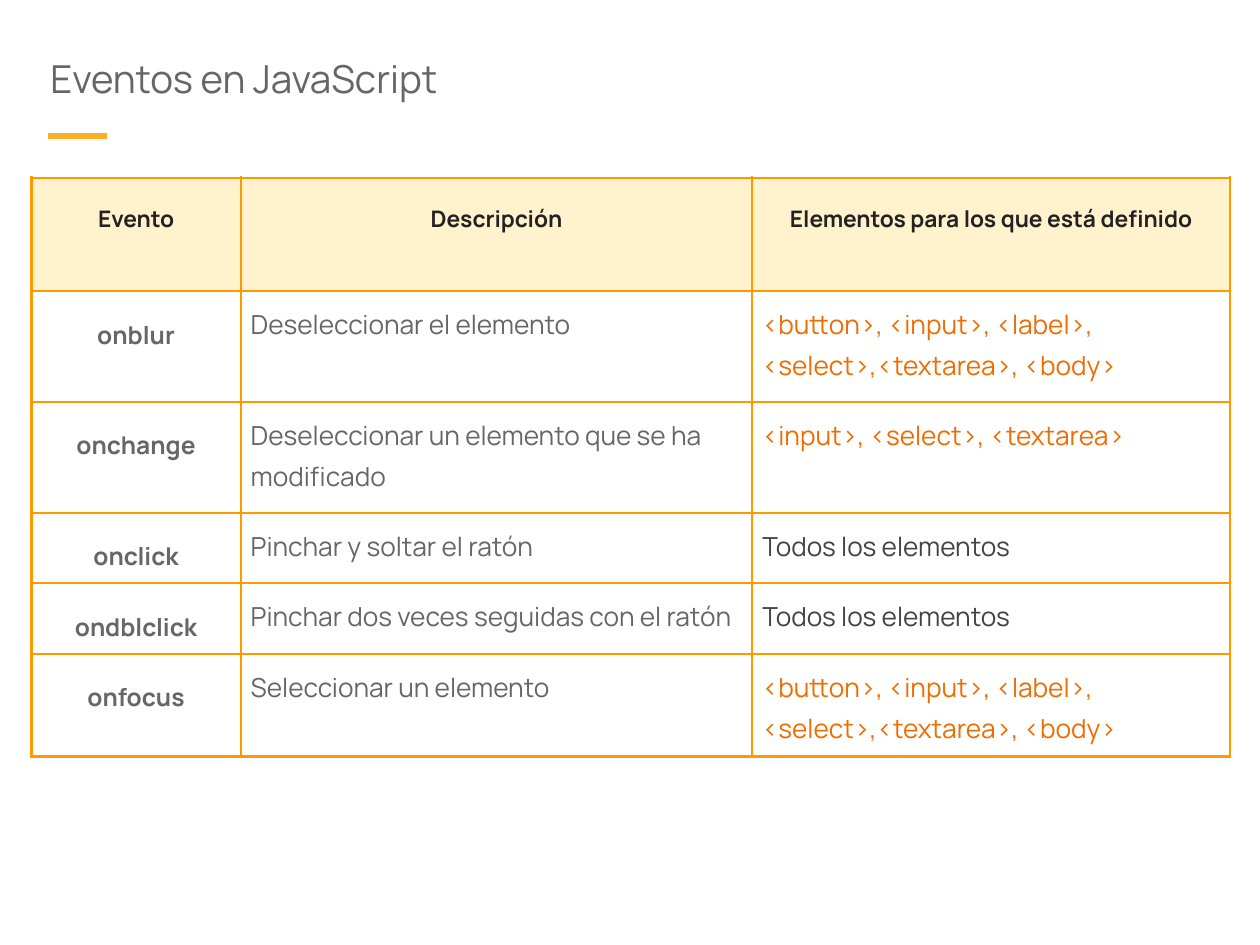
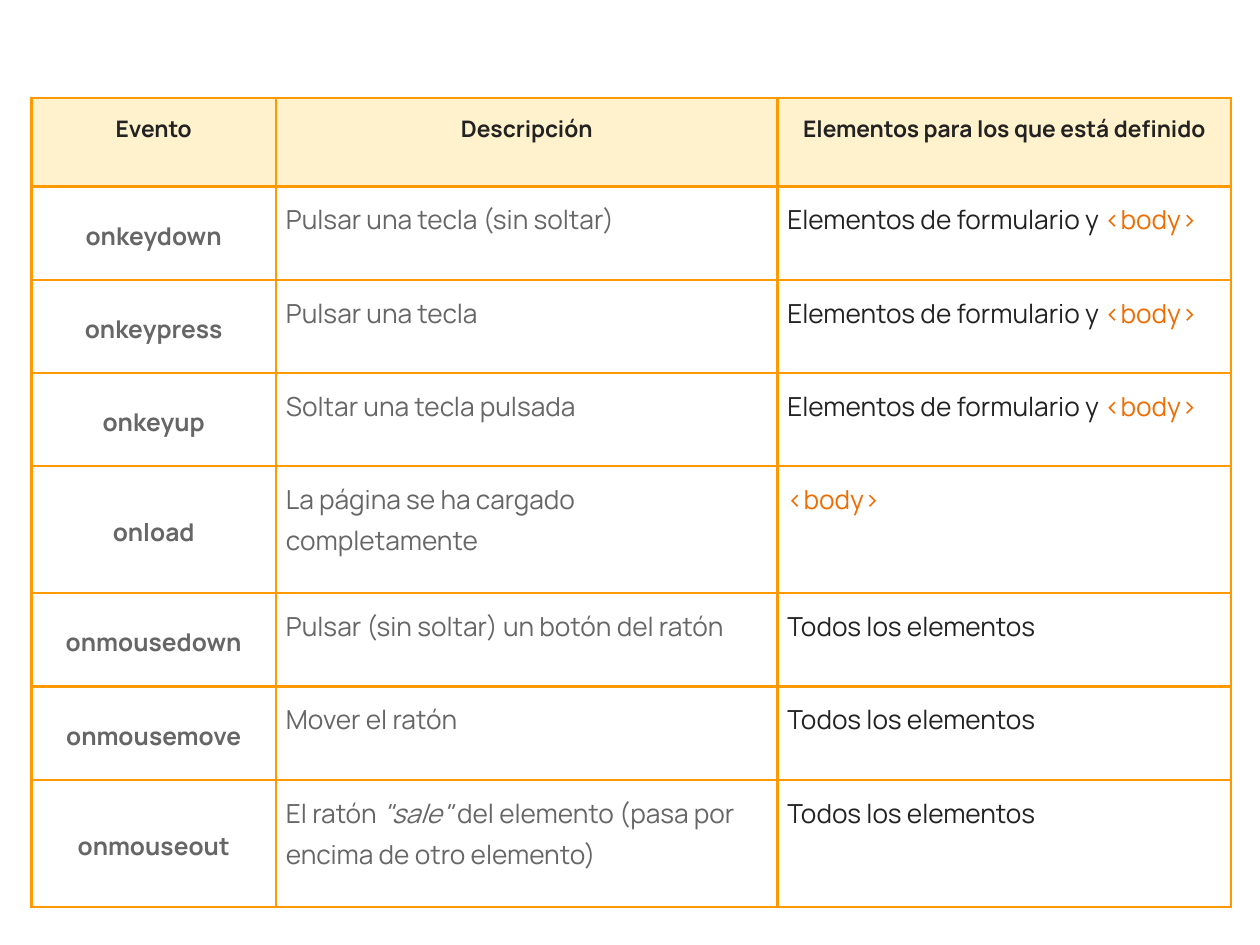
from lxml.etree import SubElement
from pptx import Presentation
from pptx.dml.color import RGBColor
from pptx.enum.shapes import MSO_CONNECTOR
from pptx.enum.text import MSO_ANCHOR, MSO_AUTO_SIZE, PP_ALIGN
from pptx.oxml.ns import qn
from pptx.util import Inches, Pt

COLORS = {
    "accent": "FAAE27", "border": "FF9900", "header": "FFF2CC", "cell": "FFFFFF",
    "dark": "222222", "soft": "434343", "gray": "666666", "tag": "EF6C00",
}
HEADER = ("Evento", "Descripción", "Elementos para los que está definido")
ALL = "Todos los elementos"
FORM = "Elementos de formulario y <body>"
CONTROLS = "<button>, <input>, <label>, <select>,<textarea>, <body>"

BASIC_EVENTS = [
    ("onblur", "Deseleccionar el elemento", CONTROLS),
    ("onchange", "Deseleccionar un elemento que se ha modificado",
     "<input>, <select>, <textarea>"),
    ("onclick", "Pinchar y soltar el ratón", ALL),
    ("ondblclick", "Pinchar dos veces seguidas con el ratón", ALL),
    ("onfocus", "Seleccionar un elemento", CONTROLS),
]
INPUT_EVENTS = [
    ("onkeydown", "Pulsar una tecla (sin soltar)", FORM),
    ("onkeypress", "Pulsar una tecla", FORM),
    ("onkeyup", "Soltar una tecla pulsada", FORM),
    ("onload", "La página se ha cargado completamente", "<body>"),
    ("onmousedown", "Pulsar (sin soltar) un botón del ratón", ALL),
    ("onmousemove", "Mover el ratón", ALL),
    ("onmouseout", 'El ratón "sale" del elemento (pasa por encima de otro elemento)', ALL),
]


def add_text(p, text, size=15, color="gray", bold=False, italic=False):
    """Add a formatted run to a paragraph."""
    r = p.add_run()
    r.text = text
    r.font.name = "Manrope"
    r.font.size = Pt(size)
    r.font.bold = bold
    r.font.italic = italic
    r.font.color.rgb = RGBColor.from_string(COLORS[color])


class Deck:
    """Hold the style and current slide on a grid of 100 columns by 75 rows."""

    def __init__(self):
        """Start a 10 by 7.5 inch presentation."""
        self.prs = Presentation()
        self.prs.slide_width = Inches(10)
        self.prs.slide_height = Inches(7.5)
        self.s = None

    def grid(self, *units):
        """Convert grid units to lengths."""
        return [round(self.prs.slide_width * unit / 100) for unit in units]

    def slide(self, layout):
        """Add a slide and make it current."""
        self.s = self.prs.slides.add_slide(self.prs.slide_layouts[layout])

    def title(self, text):
        """Fill the title placeholder and underline it with a short accent."""
        sp = self.s.shapes.title
        sp.left, sp.top, sp.width, sp.height = self.grid(3, 3.4, 93.2, 8.3)
        tf = sp.text_frame
        tf.auto_size = MSO_AUTO_SIZE.NONE
        tf.vertical_anchor = MSO_ANCHOR.TOP
        tf.margin_left = tf.margin_right = tf.margin_top = tf.margin_bottom = Inches(0.1)
        p = tf.paragraphs[0]
        p.alignment = PP_ALIGN.LEFT
        add_text(p, text, size=22)
        self.line(3.8, 10.8, 8.5, 10.8)

    def line(self, *ends):
        """Draw a straight accent line."""
        cx = self.s.shapes.add_connector(MSO_CONNECTOR.STRAIGHT, *self.grid(*ends))
        cx.line.color.rgb = RGBColor.from_string(COLORS["accent"])
        cx.line.width = Pt(3)
        SubElement(cx._element.spPr, qn("a:effectLst"))

    def cell(self, cell, fill, spacing, centered=False, middle=False):
        """Style a table cell and return its paragraph."""
        tcPr = cell._tc.get_or_add_tcPr()
        for side in "LRTB":
            ln = SubElement(tcPr, qn(f"a:ln{side}"), w=str(Pt(1.5)))
            SubElement(SubElement(ln, qn("a:solidFill")), qn("a:srgbClr"), val=COLORS["border"])
        cell.fill.solid()
        cell.fill.fore_color.rgb = RGBColor.from_string(COLORS[fill])
        cell.margin_left = cell.margin_right = cell.margin_top = cell.margin_bottom = Inches(0.08)
        cell.vertical_anchor = MSO_ANCHOR.MIDDLE if middle else MSO_ANCHOR.TOP
        p = cell.text_frame.paragraphs[0]
        p.alignment = PP_ALIGN.CENTER if centered else PP_ALIGN.LEFT
        p.line_spacing = spacing
        p.space_before = p.space_after = Pt(11)
        return p

    def table(self, top, cols, rows, events, spacing, plain, middle=False):
        """Add a table of events with a shaded header."""
        box = self.grid(2.5, top, sum(cols), sum(rows))
        table = self.s.shapes.add_table(len(rows), len(cols), *box).table
        table.first_row = table.horz_banding = False
        for column, width in zip(table.columns, self.grid(*cols)):
            column.width = width
        for row, height in zip(table.rows, self.grid(*rows)):
            row.height = height
        for cell, text in zip(table.rows[0].cells, HEADER):
            p = self.cell(cell, "header", spacing, centered=True)
            add_text(p, text, size=13, color="dark", bold=True)
        for i, (event, description, elements) in enumerate(events, 1):
            p = self.cell(table.cell(i, 0), "cell", spacing, centered=True, middle=middle)
            add_text(p, event, size=14, bold=True)
            p = self.cell(table.cell(i, 1), "cell", 1.15)
            for j, part in enumerate(description.split('"')):
                quoted = j % 2 == 1
                add_text(p, f'"{part}"' if quoted else part, italic=quoted)
            p = self.cell(table.cell(i, 2), "cell", 1.15)
            words, mark, tags = elements.partition("<")
            for text, color in ((words, plain), (mark + tags, "tag")):
                if text:
                    add_text(p, text, color=color)


def main():
    """Build both slides and save them."""
    deck = Deck()
    deck.slide(5)
    deck.title("Eventos en JavaScript")
    deck.table(14.1, (16.6, 40.6, 37.9), (9, 8.8, 8.8, 4.3, 4.3, 6.5),
               BASIC_EVENTS, spacing=1.5, plain="soft")
    deck.slide(6)
    deck.table(7.8, (19.4, 39.8, 36), (7, 7.4, 7.4, 7.4, 10.1, 7.4, 7.4, 10.1),
               INPUT_EVENTS, spacing=1.15, plain="dark", middle=True)
    deck.prs.save("out.pptx")


if __name__ == "__main__":
    main()
